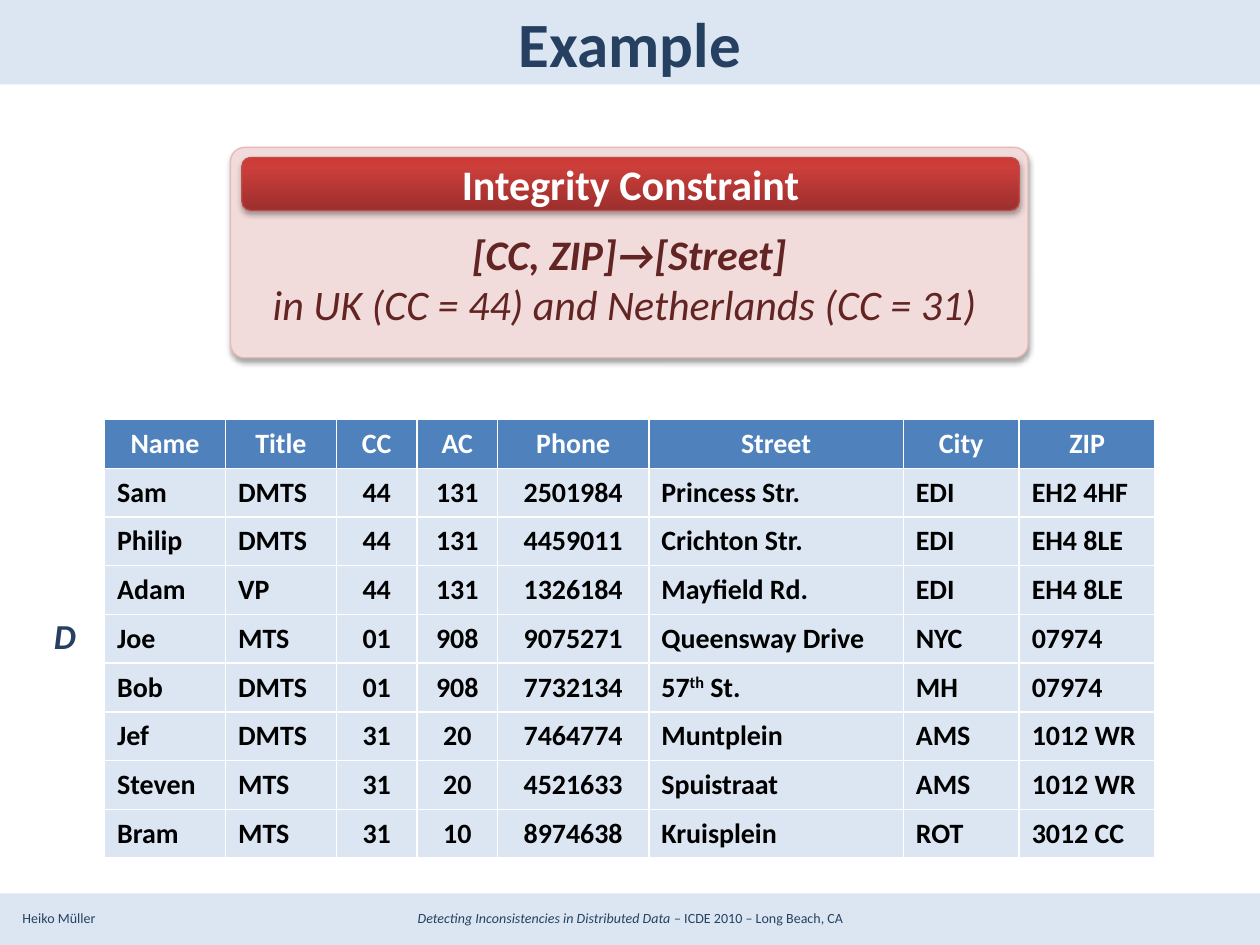
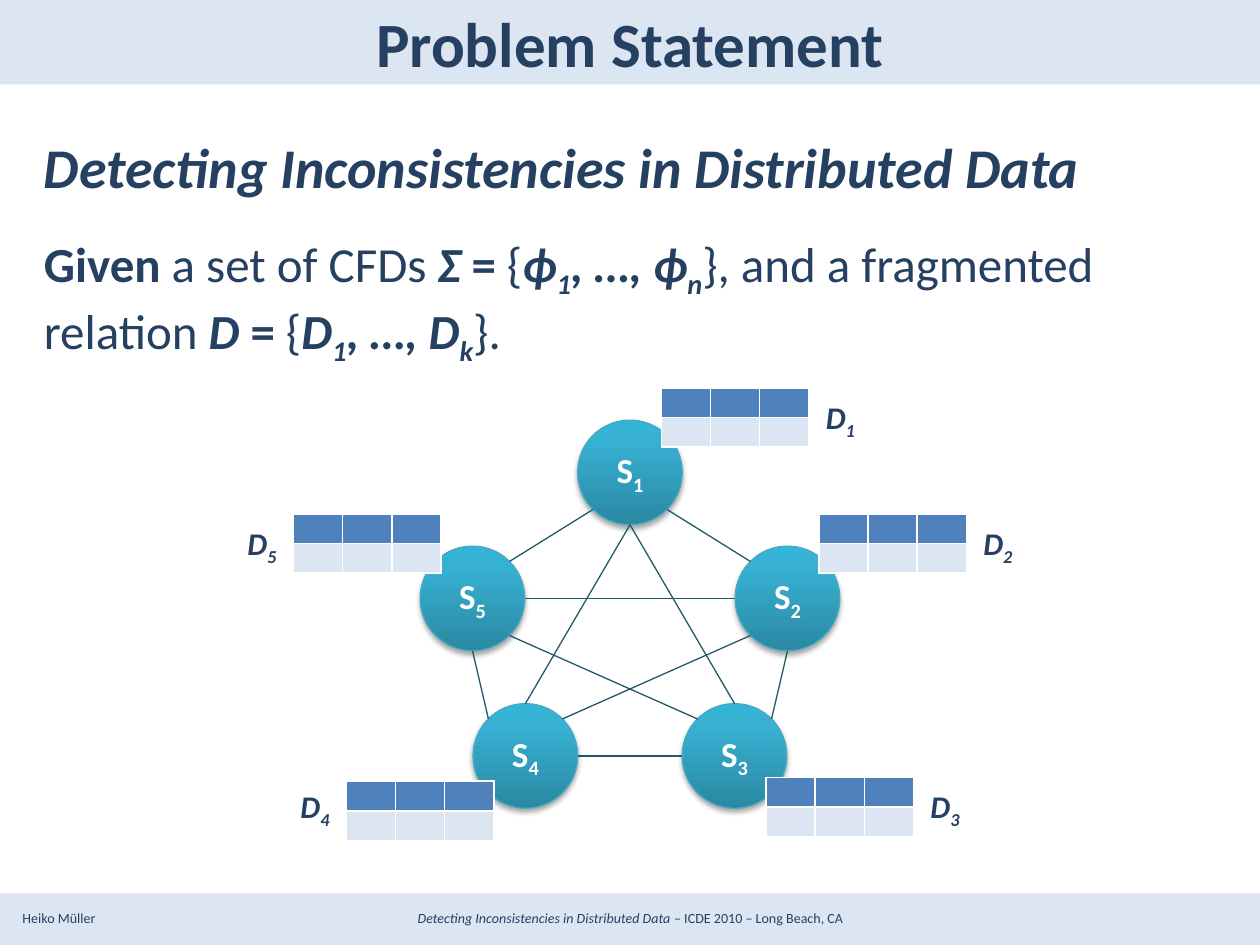
from math import cos, radians, sin

from lxml.etree import SubElement
from pptx import Presentation
from pptx.dml.color import RGBColor
from pptx.enum.shapes import MSO_CONNECTOR, MSO_SHAPE
from pptx.enum.text import MSO_ANCHOR, PP_ALIGN
from pptx.oxml.ns import qn
from pptx.util import Inches, Pt

FONT = "Calibri"
NAVY = RGBColor(0x25, 0x40, 0x61)
PALE_BLUE = RGBColor(0xDC, 0xE6, 0xF2)
HEADER_BLUE = RGBColor(0x4F, 0x81, 0xBD)
WHITE = RGBColor(0xFF, 0xFF, 0xFF)
BLACK = RGBColor(0x00, 0x00, 0x00)
ROSE = RGBColor(0xF2, 0xDC, 0xDB)
ROSE_LINE = RGBColor(0xE6, 0xB9, 0xB8)
RED_LINE = RGBColor(0xBF, 0x4C, 0x48)
MAROON = RGBColor(0x63, 0x25, 0x23)
TEAL_LINE = RGBColor(0x46, 0xAA, 0xC5)
LINK_TEAL = RGBColor(0x21, 0x59, 0x68)
RED_STOPS = [(0, RGBColor(0x9C, 0x2F, 0x2D)), (80, RGBColor(0xCB, 0x3E, 0x3A)),
             (100, RGBColor(0xCE, 0x3B, 0x37))]
TEAL_STOPS = [(0, RGBColor(0x2A, 0x88, 0xA2)), (80, RGBColor(0x37, 0xB1, 0xD2)),
              (100, RGBColor(0x34, 0xB4, 0xD6))]
BASELINES = {"^": "30000", "_": "-25000"}

COLUMNS = [("Name", 0.96, PP_ALIGN.LEFT), ("Title", 0.88, PP_ALIGN.LEFT),
           ("CC", 0.64, PP_ALIGN.CENTER), ("AC", 0.64, PP_ALIGN.CENTER),
           ("Phone", 1.2, PP_ALIGN.CENTER), ("Street", 2.02, PP_ALIGN.LEFT),
           ("City", 0.92, PP_ALIGN.LEFT), ("ZIP", 1.08, PP_ALIGN.LEFT)]
PEOPLE = [
    ("Sam", "DMTS", "44", "131", "2501984", "Princess Str.", "EDI", "EH2 4HF"),
    ("Philip", "DMTS", "44", "131", "4459011", "Crichton Str.", "EDI", "EH4 8LE"),
    ("Adam", "VP", "44", "131", "1326184", "Mayfield Rd.", "EDI", "EH4 8LE"),
    ("Joe", "MTS", "01", "908", "9075271", "Queensway Drive", "NYC", "07974"),
    ("Bob", "DMTS", "01", "908", "7732134",
     [("57", "b"), ("th", "b^"), (" St.", "b")], "MH", "07974"),
    ("Jef", "DMTS", "31", "20", "7464774", "Muntplein", "AMS", "1012 WR"),
    ("Steven", "MTS", "31", "20", "4521633", "Spuistraat", "AMS", "1012 WR"),
    ("Bram", "MTS", "31", "10", "8974638", "Kruisplein", "ROT", "3012 CC"),
]

SITE_SIZE = 0.83
SITES = {1: (5, 3.75), 5: (3.75, 4.75), 2: (6.25, 4.75), 4: (4.17, 6), 3: (5.83, 6)}
LINKS = [(1, 135, 5, 315), (5, 90, 4, 225), (4, 0, 3, 180), (3, 315, 2, 90),
         (1, 45, 2, 225), (5, 0, 2, 180), (5, 45, 3, 225), (2, 135, 4, 315),
         (4, 270, 1, 90), (3, 270, 1, 90)]
FRAGMENTS = {1: (5.25, 3.08), 2: (6.5, 4.08), 3: (6.08, 6.17), 4: (2.75, 6.2), 5: (2.33, 4.08)}
FRAGMENT_LABELS = {1: (6.42, 3.08), 2: (7.67, 4.08), 3: (7.25, 6.17),
                   4: (2.25, 6.17), 5: (1.83, 4.08)}


def inches(*lengths):
    return [Inches(length) for length in lengths]


def add_runs(p, runs, size, color):
    for text, style in runs:
        r = p.add_run()
        r.text = text
        r.font.name = FONT
        r.font.size = Pt(size)
        r.font.color.rgb = color
        r.font.bold = "b" in style
        r.font.italic = "i" in style
        for mark, baseline in BASELINES.items():
            if mark in style:
                r.font._element.set("baseline", baseline)


def write(tf, paragraphs, size, color, align=PP_ALIGN.LEFT, anchor=MSO_ANCHOR.MIDDLE):
    tf.word_wrap = True
    tf.vertical_anchor = anchor
    for i, runs in enumerate(paragraphs):
        p = tf.add_paragraph() if i else tf.paragraphs[0]
        p.alignment = align
        add_runs(p, runs, size, color)


def add_text(slide, box, runs, size, align=PP_ALIGN.LEFT, anchor=MSO_ANCHOR.MIDDLE):
    tf = slide.shapes.add_textbox(*inches(*box)).text_frame
    write(tf, [runs], size, NAVY, align, anchor)
    return tf


def add_shape(shapes, kind, box, line=None):
    sp = shapes.add_shape(kind, *inches(*box))
    sp.shadow.inherit = False
    if line is None:
        sp.line.fill.background()
    else:
        sp.line.color.rgb = line
        sp.line.width = Pt(0.75)
    return sp


def fill_solid(sp, color):
    sp.fill.solid()
    sp.fill.fore_color.rgb = color


def fill_gradient(sp, stops):
    sp.fill.gradient()
    sp.fill.gradient_angle = 90
    stop_list = sp._element.spPr.find(qn("a:gradFill")).find(qn("a:gsLst"))
    stop_list.clear()
    for percent, color in stops:
        stop = SubElement(stop_list, qn("a:gs"), pos=str(percent * 1000))
        SubElement(stop, qn("a:srgbClr"), val=str(color))


def add_shadow(sp):
    effects = sp._element.spPr.find(qn("a:effectLst"))
    shadow = SubElement(effects, qn("a:outerShdw"), blurRad="40000", dist="23000",
                        dir="5400000", rotWithShape="0")
    color = SubElement(shadow, qn("a:srgbClr"), val="000000")
    SubElement(color, qn("a:alpha"), val="35000")


def add_table(slide, box, rows, columns):
    table = slide.shapes.add_table(rows, columns, *inches(*box)).table
    table.horz_banding = False
    for i, row in enumerate(table.rows):
        for cell in row.cells:
            cell.fill.solid()
            cell.fill.fore_color.rgb = PALE_BLUE if i else HEADER_BLUE
            cell.vertical_anchor = MSO_ANCHOR.MIDDLE
    return table


def add_people_table(slide):
    table = add_table(slide, (0.83, 3.33, 8.34, 3.48), len(PEOPLE) + 1, len(COLUMNS))
    for j, (heading, width, align) in enumerate(COLUMNS):
        table.columns[j].width = Inches(width)
        p = table.cell(0, j).text_frame.paragraphs[0]
        p.alignment = PP_ALIGN.CENTER
        add_runs(p, [(heading, "b")], 16, WHITE)
        for i, person in enumerate(PEOPLE, 1):
            p = table.cell(i, j).text_frame.paragraphs[0]
            p.alignment = align
            value = person[j]
            add_runs(p, [(value, "b")] if isinstance(value, str) else value, 16, BLACK)


def add_fragment(slide, number):
    table = add_table(slide, (*FRAGMENTS[number], 1.17, 0.47), 2, 3)
    for cell in table.iter_cells():
        cell.margin_top = cell.margin_bottom = 0
        cell.text_frame.paragraphs[0]._p.get_or_add_endParaRPr().set("sz", "800")
    add_text(slide, (*FRAGMENT_LABELS[number], 0.5, 0.5),
             [("D", "bi"), (str(number), "bi_")], 18, PP_ALIGN.CENTER)


def add_site(slide, number):
    x, y = SITES[number]
    box = (x - SITE_SIZE / 2, y - SITE_SIZE / 2, SITE_SIZE, SITE_SIZE)
    sp = add_shape(slide.shapes, MSO_SHAPE.OVAL, box, TEAL_LINE)
    fill_gradient(sp, TEAL_STOPS)
    add_shadow(sp)
    write(sp.text_frame, [[("S", "b"), (str(number), "b_")]], 20, WHITE, PP_ALIGN.CENTER)


def rim_point(number, angle):
    x, y = SITES[number]
    radius = SITE_SIZE / 2
    return x + radius * cos(radians(angle)), y + radius * sin(radians(angle))


def add_link(slide, start, start_angle, end, end_angle):
    ends = (*rim_point(start, start_angle), *rim_point(end, end_angle))
    link = slide.shapes.add_connector(MSO_CONNECTOR.STRAIGHT, *inches(*ends))
    link.line.color.rgb = LINK_TEAL
    link.line.width = Pt(0.75)
    SubElement(link._element.spPr, qn("a:effectLst"))


def add_constraint(slide):
    shapes = slide.shapes.add_group_shape().shapes
    card = add_shape(shapes, MSO_SHAPE.ROUNDED_RECTANGLE, (1.83, 1.17, 6.33, 1.67), ROSE_LINE)
    card.adjustments[0] = 0.067
    fill_solid(card, ROSE)
    add_shadow(card)
    card.text_frame.margin_top = Inches(0.46)
    write(card.text_frame, [[("[CC, ZIP]→[Street]", "bi")],
                            [("in UK (CC = 44) and Netherlands (CC = 31) ", "i")]],
          24, MAROON, PP_ALIGN.CENTER)
    header = add_shape(shapes, MSO_SHAPE.ROUNDED_RECTANGLE, (1.92, 1.25, 6.17, 0.42), RED_LINE)
    fill_gradient(header, RED_STOPS)
    add_shadow(header)
    write(header.text_frame, [[("Integrity Constraint", "b")]], 24, WHITE, PP_ALIGN.CENTER)


def add_slide(prs, title):
    slide = prs.slides.add_slide(prs.slide_layouts[5])
    sp = slide.shapes.title
    sp.left, sp.top, sp.width, sp.height = inches(0.5, 0, 9, 0.67)
    write(sp.text_frame, [[(title, "b")]], 36, NAVY, PP_ALIGN.CENTER)
    add_text(slide, (0.08, 7.17, 1, 0.24), [("Heiko Müller", "")], 8, anchor=MSO_ANCHOR.TOP)
    add_text(slide, (0.17, 7.17, 9.67, 0.24),
             [("Detecting Inconsistencies in Distributed Data ", "i"),
              ("– ICDE 2010 – Long Beach, CA", "")], 8, PP_ALIGN.CENTER, MSO_ANCHOR.TOP)
    fill_solid(add_shape(slide.shapes, MSO_SHAPE.RECTANGLE, (0, 0.67, 10, 6.42)), WHITE)
    return slide


def add_example(prs):
    slide = add_slide(prs, "Example")
    add_people_table(slide)
    add_text(slide, (0.33, 3.33, 0.5, 3.42), [("D", "bi")], 20)
    add_constraint(slide)


def add_problem_statement(prs):
    slide = add_slide(prs, "Problem Statement")
    tf = add_text(slide, (0.25, 1, 9.5, 2),
                  [("Detecting Inconsistencies in Distributed Data", "bi")], 32,
                  anchor=MSO_ANCHOR.TOP)
    p = tf.add_paragraph()
    p.space_before = Pt(19.5)
    add_runs(p, [("Given", "b"), (" a set of CFDs ", ""), ("Σ", "bi"), (" = ", "b"), ("{", ""),
                 ("ϕ", "bi"), ("1", "bi_"), (", …, ϕ", "bi"), ("n", "bi_"),
                 ("}, and a fragmented relation ", ""), ("D", "bi"), (" = ", "b"), ("{", ""),
                 ("D", "bi"), ("1", "bi_"), (", …, D", "bi"), ("k", "bi_"), ("}.", "")],
             28, NAVY)
    for number in SITES:
        add_site(slide, number)
    for link in LINKS:
        add_link(slide, *link)
    for number in FRAGMENTS:
        add_fragment(slide, number)


def main():
    prs = Presentation()
    prs.slide_width, prs.slide_height = inches(10, 7.5)
    fill_solid(prs.slide_master.background, PALE_BLUE)
    add_example(prs)
    add_problem_statement(prs)
    prs.save("out.pptx")


if __name__ == "__main__":
    main()
